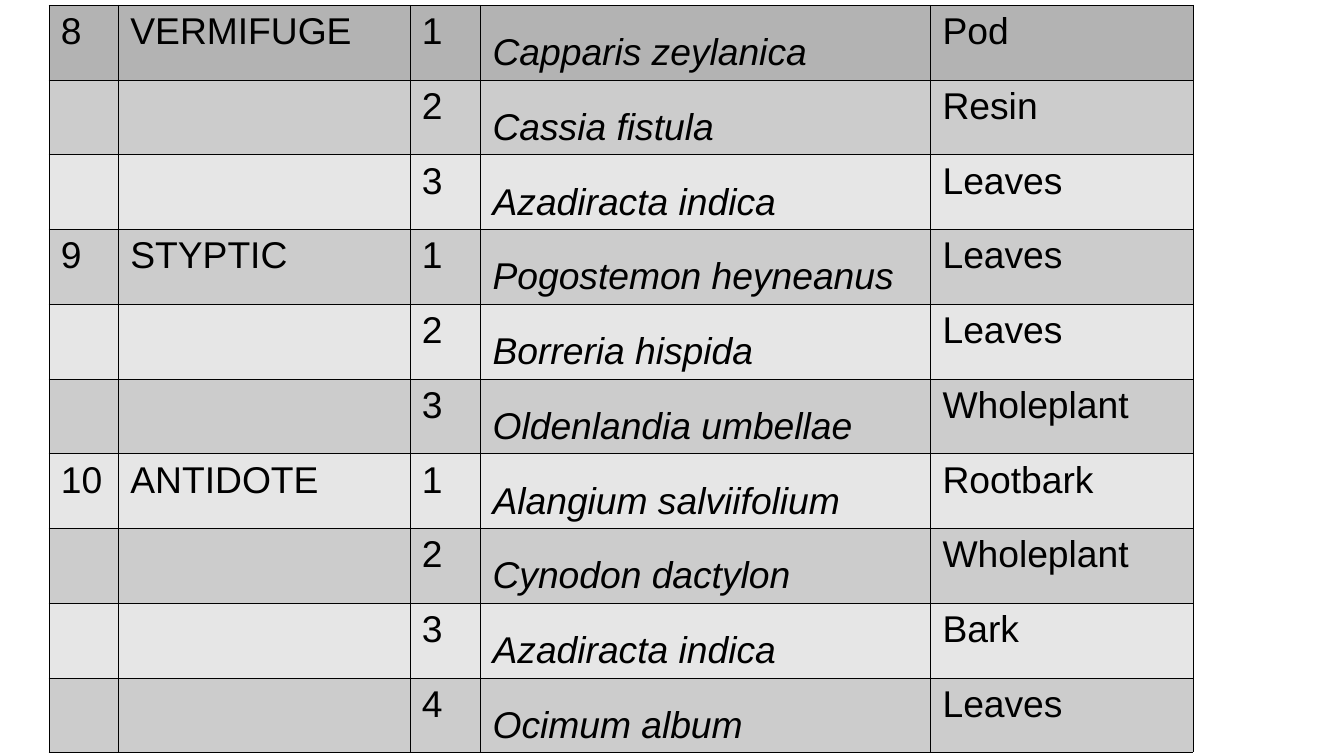
"""Build a slide with a table of healing plants grouped by their use."""
from dataclasses import dataclass

import lxml.etree
import pptx
import pptx.dml.color
import pptx.oxml.ns
import pptx.table
import pptx.util

COLORS = {"head": "B3B3B3", "dark": "CCCCCC", "light": "E6E6E6", "ink": "000000"}
WIDTHS = [0.57, 2.39, 0.58, 3.69, 2.15]
HEIGHT = 0.61
PLANT = 3


@dataclass
class Group:
    number: int
    use: str
    plants: list[tuple[str, str]]


GROUPS = [
    Group(8, "VERMIFUGE", [
        ("Capparis zeylanica", "Pod"),
        ("Cassia fistula", "Resin"),
        ("Azadiracta indica", "Leaves"),
    ]),
    Group(9, "STYPTIC", [
        ("Pogostemon heyneanus", "Leaves"),
        ("Borreria hispida", "Leaves"),
        ("Oldenlandia umbellae", "Wholeplant"),
    ]),
    Group(10, "ANTIDOTE", [
        ("Alangium salviifolium", "Rootbark"),
        ("Cynodon dactylon", "Wholeplant"),
        ("Azadiracta indica", "Bark"),
        ("Ocimum album", "Leaves"),
    ]),
]


def list_rows(groups: list[Group]) -> list[list[str]]:
    rows = []
    for group in groups:
        for index, (plant, part) in enumerate(group.plants, 1):
            lead = [str(group.number), group.use] if index == 1 else ["", ""]
            rows.append([*lead, str(index), plant, part])
    return rows


def pick_fill(row: int) -> str:
    if row == 0:
        return COLORS["head"]
    return COLORS["dark"] if row % 2 else COLORS["light"]


def add_edges(cell: pptx.table._Cell) -> None:
    qn = pptx.oxml.ns.qn
    props = cell._tc.get_or_add_tcPr()
    for place, side in enumerate(("a:lnL", "a:lnR", "a:lnT", "a:lnB")):
        line = lxml.etree.Element(qn(side), w=str(pptx.util.Pt(0.06)))
        fill = lxml.etree.SubElement(line, qn("a:solidFill"))
        lxml.etree.SubElement(fill, qn("a:srgbClr"), val=COLORS["ink"])
        props.insert(place, line)


def fill_cell(cell: pptx.table._Cell, text: str, color: str, is_plant: bool) -> None:
    cell.fill.solid()
    cell.fill.fore_color.rgb = pptx.dml.color.RGBColor.from_string(color)
    add_edges(cell)
    if not text:
        return
    cell.text_frame.text = text
    para = cell.text_frame.paragraphs[0]
    if is_plant:
        para.line_spacing = 1.5
    font = para.runs[0].font
    font.name = "Arial"
    font.size = pptx.util.Pt(22)
    font.bold = False
    font.italic = is_plant
    font.color.rgb = pptx.dml.color.RGBColor.from_string(COLORS["ink"])


def main() -> None:
    inch = pptx.util.Inches
    deck = pptx.Presentation()
    deck.slide_width, deck.slide_height = inch(11.02), inch(6.2)
    slide = deck.slides.add_slide(deck.slide_layouts[6])
    rows = list_rows(GROUPS)
    table = slide.shapes.add_table(
        len(rows), len(WIDTHS), inch(0.4), inch(0.04),
        inch(sum(WIDTHS)), inch(HEIGHT * len(rows)),
    ).table
    table.first_row = False
    table.horz_banding = False
    for column, width in zip(table.columns, WIDTHS):
        column.width = inch(width)
    for row, texts in enumerate(rows):
        for col, text in enumerate(texts):
            fill_cell(table.cell(row, col), text, pick_fill(row), col == PLANT)
    deck.save("out.pptx")


if __name__ == "__main__":
    main()
